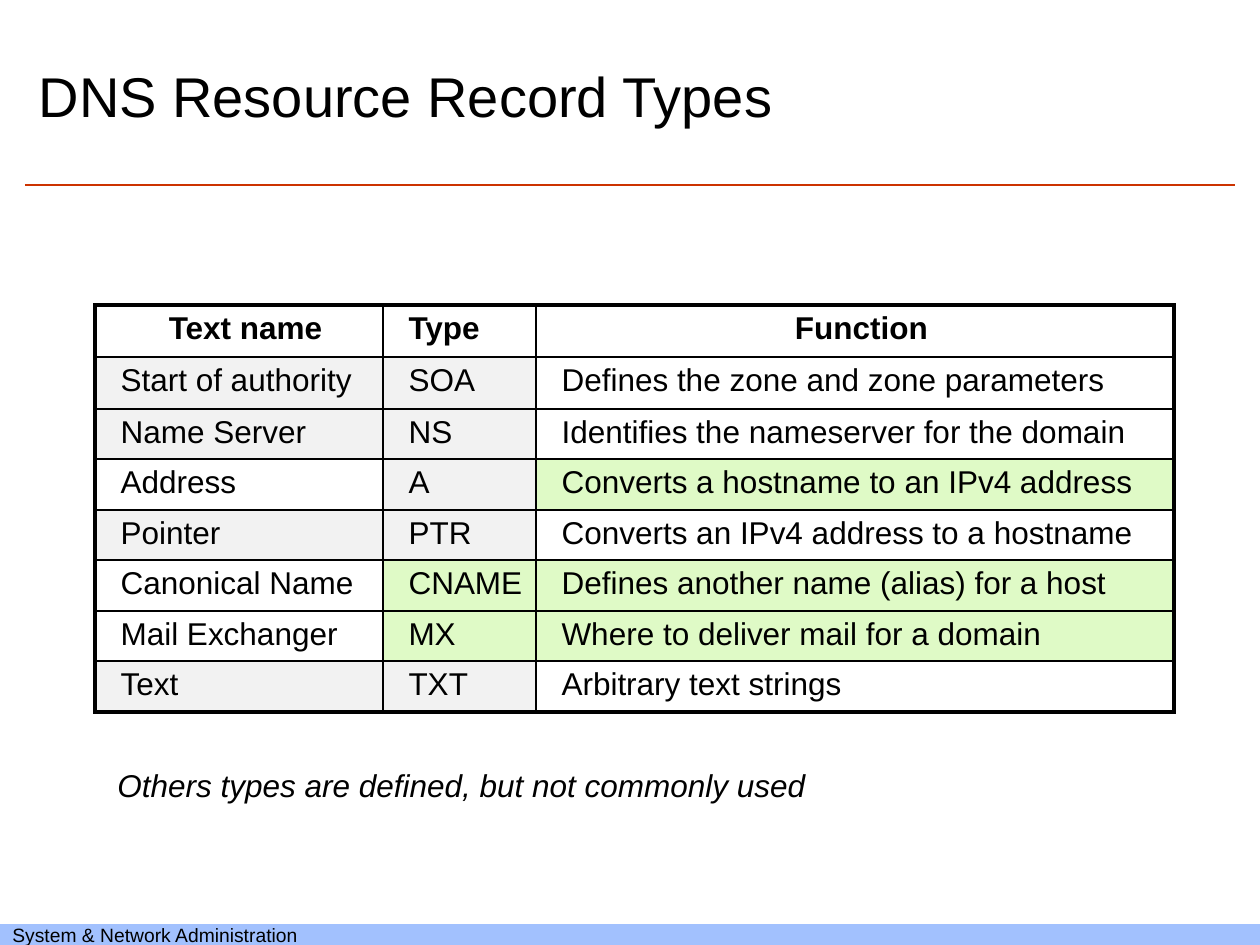
import lxml.etree
import pptx
import pptx.dml.color
import pptx.enum.shapes
import pptx.enum.text
import pptx.oxml.ns
import pptx.util

PX_PER_INCH = 126
FONT = "Arial"
BLACK, GREY, GREEN = "000000", "F2F2F2", "DFFAC6"
RED, BLUE = "CC3300", "A2C1FE"
LEFT = pptx.enum.text.PP_ALIGN.LEFT
CENTER = pptx.enum.text.PP_ALIGN.CENTER
MIDDLE = pptx.enum.text.MSO_ANCHOR.MIDDLE

COLUMN_WIDTHS = [288, 153, 638]
ROW_HEIGHTS = [52, 52] + [50, 51] * 3
HEADINGS = [("Text name", CENTER), ("Type", LEFT), ("Function", CENTER)]
# Each record: its three texts, then the fills of their cells.
RECORDS = [
    (("Start of authority", "SOA", "Defines the zone and zone parameters"), (GREY, GREY, None)),
    (("Name Server", "NS", "Identifies the nameserver for the domain"), (GREY, GREY, None)),
    (("Address", "A", "Converts a hostname to an IPv4 address"), (None, GREY, GREEN)),
    (("Pointer", "PTR", "Converts an IPv4 address to a hostname"), (GREY, GREY, None)),
    (("Canonical Name", "CNAME", "Defines another name (alias) for a host"), (None, GREEN, GREEN)),
    (("Mail Exchanger", "MX", "Where to deliver mail for a domain"), (None, GREEN, GREEN)),
    (("Text", "TXT", "Arbitrary text strings"), (GREY, GREY, None)),
]


def px(length):
    return pptx.util.Emu(round(length * 914400 / PX_PER_INCH))


def color(code):
    return pptx.dml.color.RGBColor.from_string(code)


def set_all(target, values):
    for name, value in values.items():
        setattr(target, name, value)


def write(frame, text, size, align=LEFT, margin=0, indent=0, **font):
    """Put one formatted paragraph in a text frame."""
    para = frame.paragraphs[0]
    para.alignment = align
    if margin:
        properties = para._p.get_or_add_pPr()
        properties.set("marL", str(px(margin)))
        properties.set("indent", str(px(indent)))
    span = para.add_run()
    span.text = text
    set_all(span.font, {"name": FONT, "size": pptx.util.Pt(size), **font})
    span.font.color.rgb = color(BLACK)


def add_title(page, text):
    title = page.shapes.title
    set_all(title, {"left": px(26), "top": px(25), "width": px(906), "height": px(141)})
    set_all(title.text_frame, {"vertical_anchor": MIDDLE, "word_wrap": True})
    write(title.text_frame, text, 32, margin=11, indent=-11)


def add_rule(page, left, right, top):
    rule = page.shapes.add_connector(
        pptx.enum.shapes.MSO_CONNECTOR.STRAIGHT, px(left), px(top), px(right), px(top))
    rule.line.color.rgb = color(RED)
    rule.line.width = pptx.util.Pt(1.5)
    lxml.etree.SubElement(rule._element.spPr, pptx.oxml.ns.qn("a:effectLst"))


def add_footer(page, text):
    bar = page.shapes.add_shape(
        pptx.enum.shapes.MSO_SHAPE.RECTANGLE, 0, px(924), px(1260), px(21))
    bar.shadow.inherit = False
    bar.fill.solid()
    bar.fill.fore_color.rgb = color(BLUE)
    bar.line.fill.background()
    set_all(bar.text_frame, {"vertical_anchor": MIDDLE, "word_wrap": False})
    write(bar.text_frame, text, 11)


def add_note(page, text):
    box = page.shapes.add_textbox(px(105), px(760), px(840), px(50))
    box.text_frame.word_wrap = True
    write(box.text_frame, text, 18, italic=True)


def set_borders(cell, outer_sides):
    """Draw heavy lines on the outer sides and thin lines on the others."""
    properties = cell._tc.get_or_add_tcPr()
    for side in "LRTB":
        width = pptx.util.Pt(2.25 if side in outer_sides else 1)
        line = lxml.etree.SubElement(
            properties, pptx.oxml.ns.qn(f"a:ln{side}"), w=str(width))
        fill = lxml.etree.SubElement(line, pptx.oxml.ns.qn("a:solidFill"))
        lxml.etree.SubElement(fill, pptx.oxml.ns.qn("a:srgbClr"), val=BLACK)


def set_fill(cell, code):
    if code is None:
        cell.fill.background()
    else:
        cell.fill.solid()
        cell.fill.fore_color.rgb = color(code)


def add_record_table(page):
    last_row, last_column = len(ROW_HEIGHTS) - 1, len(COLUMN_WIDTHS) - 1
    table = page.shapes.add_table(
        last_row + 1, last_column + 1, px(95), px(305),
        px(sum(COLUMN_WIDTHS)), px(sum(ROW_HEIGHTS))).table
    set_all(table, {"first_row": False, "horz_banding": False})
    for column, width in zip(table.columns, COLUMN_WIDTHS):
        column.width = px(width)
    for row, height in zip(table.rows, ROW_HEIGHTS):
        row.height = px(height)

    texts = [[text for text, _ in HEADINGS]] + [record[0] for record in RECORDS]
    fills = [[None] * len(HEADINGS)] + [record[1] for record in RECORDS]
    for r, row in enumerate(table.rows):
        for c, cell in enumerate(row.cells):
            edges = {"L": c == 0, "R": c == last_column, "T": r == 0, "B": r == last_row}
            set_borders(cell, [side for side, outer in edges.items() if outer])
            set_fill(cell, fills[r][c])
            align = HEADINGS[c][1] if r == 0 else LEFT
            write(cell.text_frame, texts[r][c], 18, align, margin=13, bold=r == 0)


def main():
    deck = pptx.Presentation()
    set_all(deck, {"slide_width": px(1260), "slide_height": px(945)})
    page = deck.slides.add_slide(deck.slide_layouts.get_by_name("Title Only"))
    add_rule(page, 25, 1235, 185)
    add_footer(page, "System & Network Administration")
    add_title(page, "DNS Resource Record Types")
    add_record_table(page)
    add_note(page, "Others types are defined, but not commonly used")
    deck.save("out.pptx")


if __name__ == "__main__":
    main()
